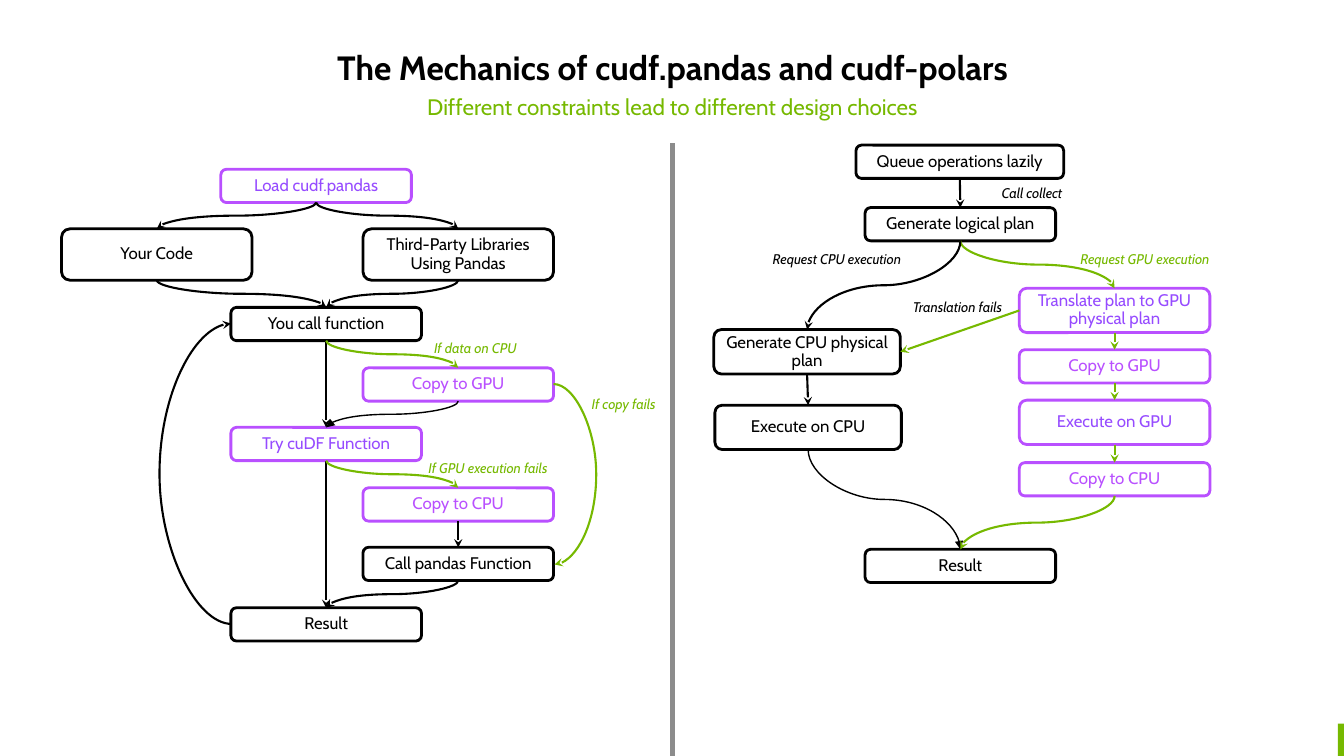
import pptx
import pptx.util
import pptx.dml.color
import pptx.enum.shapes
import pptx.enum.text
import pptx.oxml.ns
import lxml.etree

Inches = pptx.util.Inches
Pt = pptx.util.Pt
RGBColor = pptx.dml.color.RGBColor
qn = pptx.oxml.ns.qn
KIND = pptx.enum.shapes.MSO_CONNECTOR
FORM = pptx.enum.shapes.MSO_SHAPE
ALIGN = pptx.enum.text.PP_ALIGN
ANCHOR = pptx.enum.text.MSO_ANCHOR
FIT = pptx.enum.text.MSO_AUTO_SIZE

BLACK = RGBColor(0x00, 0x00, 0x00)
GREEN = RGBColor(0x76, 0xB9, 0x00)
PURPLE = RGBColor(0xB9, 0x50, 0xFF)
VIOLET = RGBColor(0x96, 0x4B, 0xFF)
GRAY = RGBColor(0x8C, 0x8C, 0x8C)


def write(frame, text, size, color):
    frame.word_wrap = True
    frame.text = text
    para = frame.paragraphs[0]
    para.alignment = ALIGN.CENTER
    para.font.name = "Cabin"
    para.font.size = Pt(size)
    para.font.color.rgb = color
    return para


def style(line, color, width, head=None):
    line.line.color.rgb = color
    line.line.width = Pt(width)
    props = line._element.spPr
    if head:
        lxml.etree.SubElement(props.find(qn("a:ln")), qn("a:tailEnd"), type=head)
    lxml.etree.SubElement(props, qn("a:effectLst"))


deck = pptx.Presentation()
deck.slide_width = Inches(13.33)
deck.slide_height = Inches(7.5)
slide = deck.slides.add_slide(deck.slide_layouts[5])
shapes = slide.shapes

title = shapes.title
title.left, title.top = Inches(0.92), Inches(0)
title.width, title.height = Inches(11.5), Inches(0.92)
para = write(title.text_frame, "The Mechanics of cudf.pandas and cudf-polars", 24, BLACK)
para.font.bold = True
para.line_spacing = 0.9
title.text_frame.auto_size = FIT.NONE
title.text_frame.vertical_anchor = ANCHOR.BOTTOM

sub = shapes.add_textbox(Inches(0.92), Inches(0.91), Inches(11.5), Inches(0.51))
para = write(sub.text_frame, "Different constraints lead to different design choices", 16, GREEN)
para.line_spacing = 0.9

corner = shapes.add_shape(FORM.RECTANGLE, Inches(13.27), Inches(7.18), Inches(0.06), Inches(0.32))
corner.shadow.inherit = False
corner.fill.solid()
corner.fill.fore_color.rgb = GREEN
corner.line.fill.background()

split = shapes.add_connector(KIND.STRAIGHT, Inches(6.67), Inches(1.42), Inches(6.67), Inches(7.5))
style(split, GRAY, 4)

LOW, MID, TALL = 0.33, 0.44, 0.51
rows = [round(3.05 + 0.596 * step, 2) for step in range(6)]
nodes = [
    ("load", "Load cudf.pandas", 2.19, 1.68, 1.89, LOW, PURPLE, VIOLET),
    ("code", "Your Code", 0.61, 2.27, 1.89, TALL, BLACK, BLACK),
    ("libs", "Third-Party Libraries Using Pandas", 3.6, 2.27, 1.89, TALL, BLACK, BLACK),
    ("call", "You call function", 2.29, rows[0], 1.89, LOW, BLACK, BLACK),
    ("to gpu", "Copy to GPU", 3.6, rows[1], 1.89, LOW, PURPLE, PURPLE),
    ("try", "Try cuDF Function", 2.29, rows[2], 1.89, LOW, PURPLE, VIOLET),
    ("to cpu", "Copy to CPU", 3.6, rows[3], 1.89, LOW, PURPLE, PURPLE),
    ("pandas", "Call pandas Function", 3.6, rows[4], 1.89, LOW, BLACK, BLACK),
    ("result", "Result", 2.29, rows[5], 1.89, LOW, BLACK, BLACK),
    ("queue", "Queue operations lazily", 8.49, 1.44, 2.06, LOW, BLACK, BLACK),
    ("plan", "Generate logical plan", 8.58, 2.06, 1.89, LOW, BLACK, BLACK),
    ("cpu plan", "Generate CPU physical plan", 7.08, 3.27, 1.85, MID, BLACK, BLACK),
    ("cpu run", "Execute on CPU", 7.09, 4.02, 1.85, MID, BLACK, BLACK),
    ("gpu plan", "Translate plan to GPU physical plan", 10.11, 2.86, 1.89, MID, PURPLE, VIOLET),
    ("gpu in", "Copy to GPU", 10.11, 3.47, 1.89, LOW, PURPLE, PURPLE),
    ("gpu run", "Execute on GPU", 10.11, 3.97, 1.89, MID, PURPLE, VIOLET),
    ("gpu out", "Copy to CPU", 10.11, 4.59, 1.89, LOW, PURPLE, PURPLE),
    ("end", "Result", 8.58, 5.45, 1.89, LOW, BLACK, BLACK),
]
boxes = {}
for key, text, left, top, width, height, edge, ink in nodes:
    box = shapes.add_shape(FORM.ROUNDED_RECTANGLE, Inches(left), Inches(top), Inches(width), Inches(height))
    box.shadow.inherit = False
    box.fill.background()
    box.line.color.rgb = edge
    box.line.width = Pt(2)
    frame = box.text_frame
    frame.margin_left = frame.margin_right = Inches(0.1)
    frame.margin_top = frame.margin_bottom = Inches(0.1)
    frame.vertical_anchor = ANCHOR.MIDDLE
    write(frame, text, 12, ink).line_spacing = 0.9
    boxes[key] = box

for start, out, stop, into, color in [
    ("call", 2, "try", 0, BLACK),
    ("try", 2, "result", 0, BLACK),
    ("to cpu", 2, "pandas", 0, BLACK),
    ("queue", 2, "plan", 0, BLACK),
    ("cpu plan", 2, "cpu run", 0, BLACK),
    ("gpu plan", 1, "cpu plan", 3, GREEN),
    ("gpu plan", 2, "gpu in", 0, GREEN),
    ("gpu in", 2, "gpu run", 0, GREEN),
    ("gpu run", 2, "gpu out", 0, GREEN),
]:
    line = shapes.add_connector(KIND.STRAIGHT, 0, 0, 0, 0)
    line.begin_connect(boxes[start], out)
    line.end_connect(boxes[stop], into)
    style(line, color, 1.5, "stealth")

for start, stop, color, width, head in [
    ("load", "libs", BLACK, 1.5, "stealth"),
    ("load", "code", BLACK, 1.5, "stealth"),
    ("code", "call", BLACK, 1.5, "stealth"),
    ("libs", "call", BLACK, 1.5, "stealth"),
    ("call", "to gpu", GREEN, 1.5, "stealth"),
    ("to gpu", "try", BLACK, 1, "triangle"),
    ("try", "to cpu", GREEN, 1.5, "stealth"),
    ("pandas", "result", BLACK, 1.5, "stealth"),
    ("plan", "gpu plan", GREEN, 1.5, "stealth"),
    ("plan", "cpu plan", BLACK, 1.5, "stealth"),
    ("cpu run", "end", BLACK, 1, "triangle"),
    ("gpu out", "end", GREEN, 1.5, "stealth"),
]:
    head_x = boxes[stop].left + boxes[stop].width // 2
    tail_x = boxes[start].left + boxes[start].width // 2
    tail_y = boxes[start].top + boxes[start].height
    drop = boxes[stop].top - tail_y
    span = abs(head_x - tail_x)
    left = (head_x + tail_x - drop) // 2
    top = tail_y + (drop - span) // 2
    ends = (left + drop, left) if head_x > tail_x else (left, left + drop)
    curve = shapes.add_connector(KIND.CURVE, ends[0], top, ends[1], top + span)
    turn = 270 if head_x > tail_x else 90
    curve._element.spPr.find(qn("a:xfrm")).set("rot", str(turn * 60000))
    style(curve, color, width, head)

for left, top, foot, turn, bulge, color in [
    (2.29, 3.21, 6.19, 180, 0.73, BLACK),
    (5.49, 3.81, 5.6, 0, 0.43, GREEN),
]:
    loop = shapes.add_connector(KIND.CURVE, Inches(left), Inches(top), Inches(left + 0.01), Inches(foot))
    props = loop._element.spPr
    props.find(qn("a:xfrm")).set("rot", str(turn * 60000))
    guides = props.find(qn("a:prstGeom")).find(qn("a:avLst"))
    ratio = round(bulge / 0.01 * 100000)
    lxml.etree.SubElement(guides, qn("a:gd"), name="adj1", fmla=f"val {ratio}")
    style(loop, color, 1.5, "stealth")

for text, left, top, width, color in [
    ("If data on CPU", 4.06, 3.32, 1.31, GREEN),
    ("If copy fails", 5.53, 3.87, 1.31, GREEN),
    ("If GPU execution fails", 4.06, 4.51, 1.56, GREEN),
    ("Call collect", 9.58, 1.78, 1.31, BLACK),
    ("Request CPU execution", 7.41, 2.44, 1.78, BLACK),
    ("Request GPU execution", 10.41, 2.44, 1.89, GREEN),
    ("Translation fails", 8.84, 2.91, 1.31, BLACK),
]:
    label = shapes.add_textbox(Inches(left), Inches(top), Inches(width), Inches(0.27))
    write(label.text_frame, text, 10, color).font.italic = True
    label.text_frame.auto_size = FIT.SHAPE_TO_FIT_TEXT

deck.save("out.pptx")
